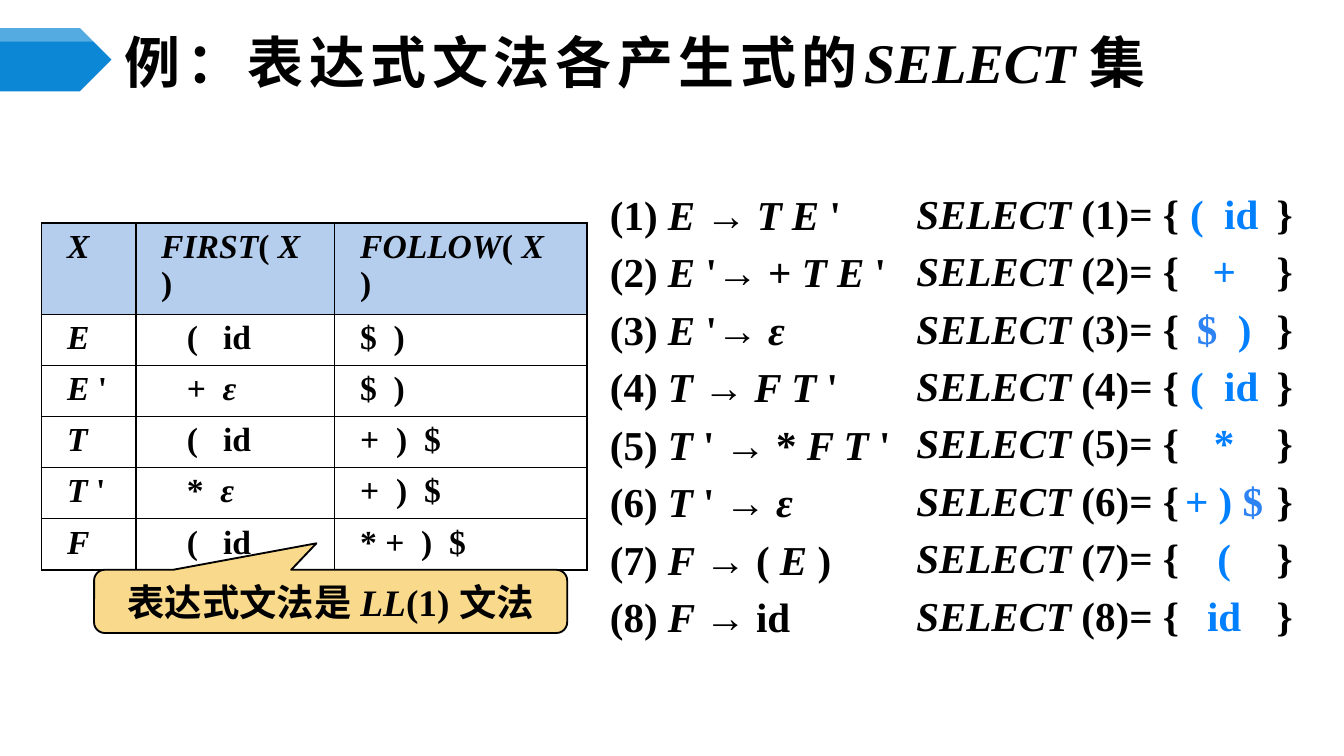
from lxml import etree
from pptx import Presentation
from pptx.dml.color import RGBColor
from pptx.enum.shapes import MSO_SHAPE
from pptx.enum.text import MSO_ANCHOR, PP_ALIGN
from pptx.oxml.ns import qn
from pptx.util import Inches, Pt

PLATE = MSO_SHAPE.PENTAGON
CALLOUT = MSO_SHAPE.ROUNDED_RECTANGULAR_CALLOUT
MIDDLE = MSO_ANCHOR.MIDDLE
CENTER = PP_ALIGN.CENTER
ROMAN = "Times New Roman"
HAN = "Noto Sans CJK SC"
BLACK, BLUE, AZURE = "000000", "0080FF", "2D83F4"


def rgb(code):
    return RGBColor.from_string(code)


def write(para, text, size, color=BLACK, font=ROMAN, gap=0):
    """Add bold runs; parts between underscores are italic."""
    for i, part in enumerate(text.split("_")):
        if not part:
            continue
        run = para.add_run()
        run.text = part
        run.font.size = Pt(size)
        run.font.bold = True
        run.font.italic = i % 2 == 1
        run.font.name = font
        run.font.color.rgb = rgb(color)
        props = run._r.get_or_add_rPr()
        etree.SubElement(props, qn("a:ea")).set("typeface", HAN)
        if gap:
            props.set("spc", str(gap * 100))


# Widescreen slide, 16 to 9
prs = Presentation()
prs.slide_width = Inches(10)
prs.slide_height = Inches(10) * 9 // 16
slide = prs.slides.add_slide(prs.slide_layouts[6])
shapes = slide.shapes

# Title marker with a lighter top band
plate = shapes.add_shape(PLATE, 0, Inches(0.21), Inches(0.83), Inches(0.47))
edge = shapes.build_freeform(0, Inches(0.21))
edge.add_line_segments([(Inches(x), Inches(y)) for x, y in
                        [(0.6, 0.21), (0.7, 0.31), (0, 0.31)]])
band = edge.convert_to_shape()
for shape, color in [(plate, "0B87D6"), (band, "FFFFFF")]:
    shape.shadow.inherit = False
    shape.fill.solid()
    shape.fill.fore_color.rgb = rgb(color)
    shape.line.fill.background()
tint = band._element.spPr.find(".//" + qn("a:srgbClr"))
etree.SubElement(tint, qn("a:alpha")).set("val", "30000")

# Title
title = shapes.add_textbox(Inches(0.83), Inches(0.29), Inches(8.67), Inches(0.39))
frame = title.text_frame
frame.word_wrap = True
frame.vertical_anchor = MIDDLE
para = frame.paragraphs[0]
para.line_spacing = 0.9
write(para, "例：表达式文法各产生式的", 30, font=HAN, gap=3)
write(para, "_SELECT _", 30)
write(para, "集", 30, font=HAN, gap=3)

# Productions and their SELECT sets
rules = [
    ("_E _→ _T E _'", "(  id"),
    ("_E _'→ + _T E_ '", "+"),
    ("_E _'→ _ε_", "$  )"),
    ("_T _→ _F T_ '", "(  id"),
    ("_T_ ' → * _F T_ '", "*"),
    ("_T_ ' → _ε_", "+ ) $"),
    ("_F _→ ( _E _)", "("),
    ("_F _→ id", "id"),
]
left = shapes.add_textbox(Inches(4.44), Inches(1.36), Inches(2.66), Inches(3.58))
right = shapes.add_textbox(Inches(6.72), Inches(1.35), Inches(3.2), Inches(3.58))
left.text_frame.word_wrap = right.text_frame.word_wrap = True

for n, (rule, signs) in enumerate(rules, 1):
    pair = []
    for box in (left, right):
        frame = box.text_frame
        para = frame.paragraphs[0] if n == 1 else frame.add_paragraph()
        if n > 1:
            para.space_before = Pt(4.4)
        pair.append(para)
    write(pair[0], f"({n}) {rule}", 22)

    # Signs are centred on one tab, closing braces line up on the next
    stops = etree.SubElement(pair[1]._p.get_or_add_pPr(), qn("a:tabLst"))
    for pos, align in [(2.29, "ctr"), (2.68, "l")]:
        stop = etree.SubElement(stops, qn("a:tab"))
        stop.set("pos", str(Inches(pos)))
        stop.set("algn", align)
    write(pair[1], f"_SELECT _({n})= {{\t", 22)
    for part in signs.partition("$"):
        write(pair[1], part, 22, AZURE if part == "$" else BLUE)
    write(pair[1], "\t}", 22)

# FIRST and FOLLOW table
rows = [
    ("_X_", "_FIRST_( _X _)", "_FOLLOW_( _X _)"),
    ("_E_", "(   id", "$  )"),
    ("_E _'", "+  _ε_", "$  )"),
    ("_T_", "(   id", "+  )  $"),
    ("_T _'", "*  _ε_", "+  )  $"),
    ("_F_", "(   id", "* +  )  $"),
]
head, full = Inches(0.67), Inches(2.54)
table = shapes.add_table(len(rows), 3, Inches(0.31), Inches(1.66),
                         Inches(4.06), full).table
for col, width in zip(table.columns, [0.7, 1.48, 1.88]):
    col.width = Inches(width)
for r, row in enumerate(rows):
    table.rows[r].height = (full - head) // 5 if r else head
    for c, text in enumerate(row):
        cell = table.cell(r, c)
        cell.margin_left = Inches(0.38 if r and c == 1 else 0.19)
        cell.margin_right = Inches(0.19)
        cell.margin_top = cell.margin_bottom = Inches(0.04)
        props = cell._tc.get_or_add_tcPr()
        for side in ("lnL", "lnR", "lnT", "lnB"):
            line = etree.SubElement(props, qn("a:" + side))
            line.set("w", str(Pt(1)))
            fill = etree.SubElement(line, qn("a:solidFill"))
            etree.SubElement(fill, qn("a:srgbClr")).set("val", BLACK)
        if r:
            cell.fill.background()
        else:
            cell.fill.solid()
            cell.fill.fore_color.rgb = rgb("B5CEED")
        write(cell.text_frame.paragraphs[0], text, 18)

# Callout
note = shapes.add_shape(CALLOUT, Inches(0.7), Inches(4.24), Inches(3.52), Inches(0.47))
note.shadow.inherit = False
for i, value in enumerate([-0.03, -0.92, 0.17]):
    note.adjustments[i] = value
note.fill.solid()
note.fill.fore_color.rgb = rgb("F9D98C")
note.line.color.rgb = rgb(BLACK)
note.line.width = Pt(1)
note.text_frame.vertical_anchor = MIDDLE
para = note.text_frame.paragraphs[0]
para.alignment = CENTER
write(para, "表达式文法是 _LL_(1) 文法", 20)

prs.save("out.pptx")
